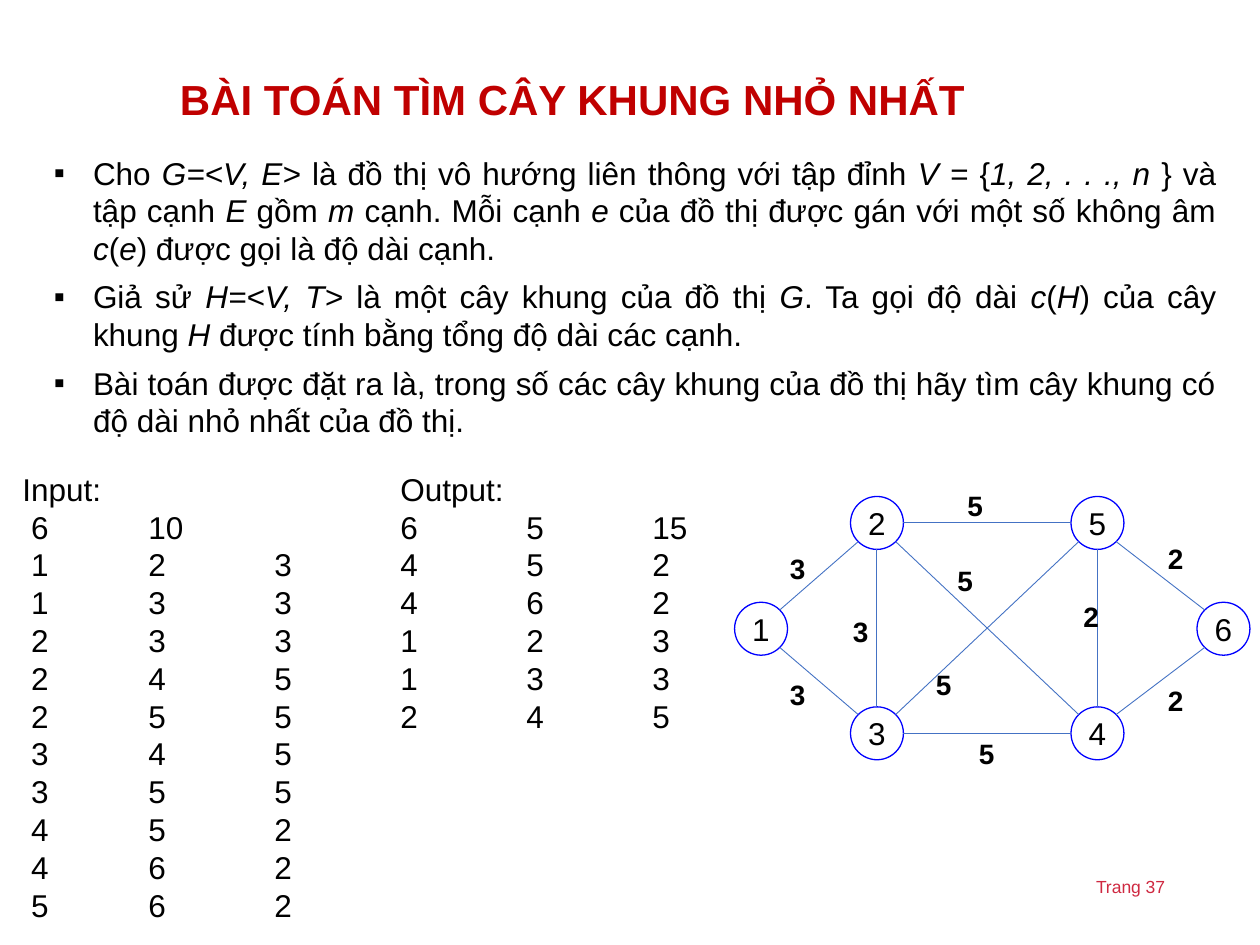
from dataclasses import dataclass
from itertools import zip_longest
from math import copysign, hypot

from lxml.etree import SubElement
from pptx import Presentation
from pptx.dml.color import RGBColor
from pptx.enum.shapes import MSO_CONNECTOR, MSO_SHAPE
from pptx.enum.text import MSO_ANCHOR, PP_ALIGN
from pptx.oxml.ns import qn
from pptx.util import Inches, Pt


@dataclass(frozen=True)
class Theme:
    font: str = "Arial"
    ink: str = "000000"
    heading: str = "C00000"
    footer: str = "CF2941"
    node: str = "0000FF"
    edge: str = "4472C4"
    title_size: int = 24
    body_size: int = 18
    weight_size: int = 16
    footer_size: int = 10


THEME = Theme()

TITLE = "BÀI TOÁN TÌM CÂY KHUNG NHỎ NHẤT"
# Text between asterisks is italic
STATEMENTS = [
    "Cho *G=<V, E>* là đồ thị vô hướng liên thông với tập đỉnh *V = *{*1, 2, . . ., n *} "
    "và tập cạnh *E* gồm *m* cạnh. Mỗi cạnh *e* của đồ thị được gán với một số không âm "
    "*c*(*e*) được gọi là độ dài cạnh.",
    "Giả sử *H=<V, T>* là một cây khung của đồ thị *G*. Ta gọi độ dài *c*(*H*) của cây "
    "khung *H* được tính bằng tổng độ dài các cạnh.",
    "Bài toán được đặt ra là, trong số các cây khung của đồ thị hãy tìm cây khung có "
    "độ dài nhỏ nhất của đồ thị.",
]

# Node centres and weight label corners, measured from the graph box
NODE_SIZE = 0.42
NODES = {
    2: (1.13, 0.32), 5: (2.88, 0.32),
    3: (1.13, 1.99), 4: (2.88, 1.99),
    1: (0.21, 1.16), 6: (3.88, 1.16),
}
EDGES = {  # (start, end, weight): label corner
    (1, 2, 3): (0.34, 0.5),
    (1, 3, 3): (0.34, 1.5),
    (2, 3, 3): (0.84, 1),
    (2, 4, 5): (1.67, 0.59),
    (2, 5, 5): (1.75, 0),
    (3, 4, 5): (1.84, 1.97),
    (3, 5, 5): (1.5, 1.42),
    (4, 5, 2): (2.67, 0.88),
    (4, 6, 2): (3.34, 1.55),
    (5, 6, 2): (3.34, 0.42),
}
TREE = [(4, 5, 2), (4, 6, 2), (1, 2, 3), (1, 3, 3), (2, 4, 5)]


def format_runs(paragraph, size, color=THEME.ink, bold=False):
    for run in paragraph.runs:
        run.font.name = THEME.font
        run.font.size = Pt(size)
        run.font.bold = bold
        run.font.color.rgb = RGBColor.from_string(color)


def add_text(slide, box, text, size, color=THEME.ink, bold=False):
    frame = slide.shapes.add_textbox(*map(Inches, box)).text_frame
    frame.word_wrap = True
    frame.text = text
    for paragraph in frame.paragraphs:
        format_runs(paragraph, size, color, bold)
    return frame


def add_title(slide, box):
    frame = add_text(slide, box, TITLE, THEME.title_size, THEME.heading, bold=True)
    frame.vertical_anchor = MSO_ANCHOR.MIDDLE
    frame.paragraphs[0].line_spacing = 0.9
    frame.paragraphs[0].space_before = Pt(6)


def add_bullet(paragraph):
    properties = paragraph._p.get_or_add_pPr()
    properties.set("marL", str(Inches(0.31)))
    properties.set("indent", str(-Inches(0.31)))
    color = SubElement(properties, qn("a:buClr"))
    SubElement(color, qn("a:srgbClr"), val=THEME.ink)
    SubElement(properties, qn("a:buFont"), typeface=THEME.font)
    SubElement(properties, qn("a:buChar"), char="▪")


def add_statements(slide, box):
    frame = add_text(slide, box, "", THEME.body_size)
    for index, statement in enumerate(STATEMENTS):
        paragraph = frame.add_paragraph() if index else frame.paragraphs[0]
        paragraph.alignment = PP_ALIGN.JUSTIFY
        paragraph.space_before = Pt(6)
        add_bullet(paragraph)
        for part, words in enumerate(statement.split("*")):
            if words:
                run = paragraph.add_run()
                run.text = words
                run.font.italic = part % 2 == 1
        format_runs(paragraph, THEME.body_size)


def add_example(slide, box):
    """Input and output columns, one tab stop per inch."""
    total = sum(weight for _, _, weight in TREE)
    inputs = [(len(NODES), len(EDGES), ""), *EDGES]
    outputs = [(len(NODES), len(TREE), total), *TREE]
    lines = ["Input:\t\t\tOutput:"]
    for given, found in zip_longest(inputs, outputs, fillvalue=()):
        lines.append(" " + "\t".join(map(str, (*given, *found))))
    frame = add_text(slide, box, "\n".join(lines), THEME.body_size)
    for paragraph in frame.paragraphs:
        tabs = SubElement(paragraph._p.get_or_add_pPr(), qn("a:tabLst"))
        for stop in range(1, 6):
            SubElement(tabs, qn("a:tab"), pos=str(Inches(stop)), algn="l")


def add_node(slide, center, label):
    corner = [Inches(value - NODE_SIZE / 2) for value in center]
    node = slide.shapes.add_shape(MSO_SHAPE.OVAL, *corner, Inches(NODE_SIZE), Inches(NODE_SIZE))
    node.shadow.inherit = False
    node.fill.background()
    node.line.color.rgb = RGBColor.from_string(THEME.node)
    node.line.width = Pt(0.75)
    frame = node.text_frame
    frame.word_wrap = False
    frame.vertical_anchor = MSO_ANCHOR.MIDDLE
    frame.text = label
    frame.paragraphs[0].alignment = PP_ALIGN.CENTER
    format_runs(frame.paragraphs[0], THEME.body_size)


def add_edge(slide, start, end):
    """Join two node rims at the nearest of their eight compass points."""
    step = [copysign(1, b - a) if a != b else 0 for a, b in zip(start, end)]
    reach = NODE_SIZE / 2 / hypot(*step)
    begin = [Inches(a + s * reach) for a, s in zip(start, step)]
    finish = [Inches(b - s * reach) for b, s in zip(end, step)]
    edge = slide.shapes.add_connector(MSO_CONNECTOR.STRAIGHT, *begin, *finish)
    edge.line.color.rgb = RGBColor.from_string(THEME.edge)
    edge.line.width = Pt(0.5)
    SubElement(edge._element.spPr, qn("a:effectLst"))


def add_graph(slide, left, top):
    centers = {name: (left + x, top + y) for name, (x, y) in NODES.items()}
    for name, center in centers.items():
        add_node(slide, center, str(name))
    for start, end, _ in EDGES:
        add_edge(slide, centers[start], centers[end])
    for (_, _, weight), (x, y) in EDGES.items():
        add_text(slide, (left + x, top + y, 0.42, 0.37), str(weight),
                 THEME.weight_size, bold=True)


def main():
    deck = Presentation()
    deck.slide_width, deck.slide_height = Inches(10), Inches(7.5)
    slide = deck.slides.add_slide(deck.slide_layouts[6])

    # Page number
    add_text(slide, (8.6, 6.9, 1.21, 0.27), "Trang 37", THEME.footer_size, THEME.footer)
    # Problem statement
    add_statements(slide, (0.33, 1.17, 9.42, 2.37))
    # Worked example
    add_graph(slide, 5.83, 3.83)
    add_example(slide, (0.08, 3.68, 5.67, 3.7))
    # Heading
    add_title(slide, (1.33, 0.4, 7.98, 0.82))

    deck.save("out.pptx")


if __name__ == "__main__":
    main()
